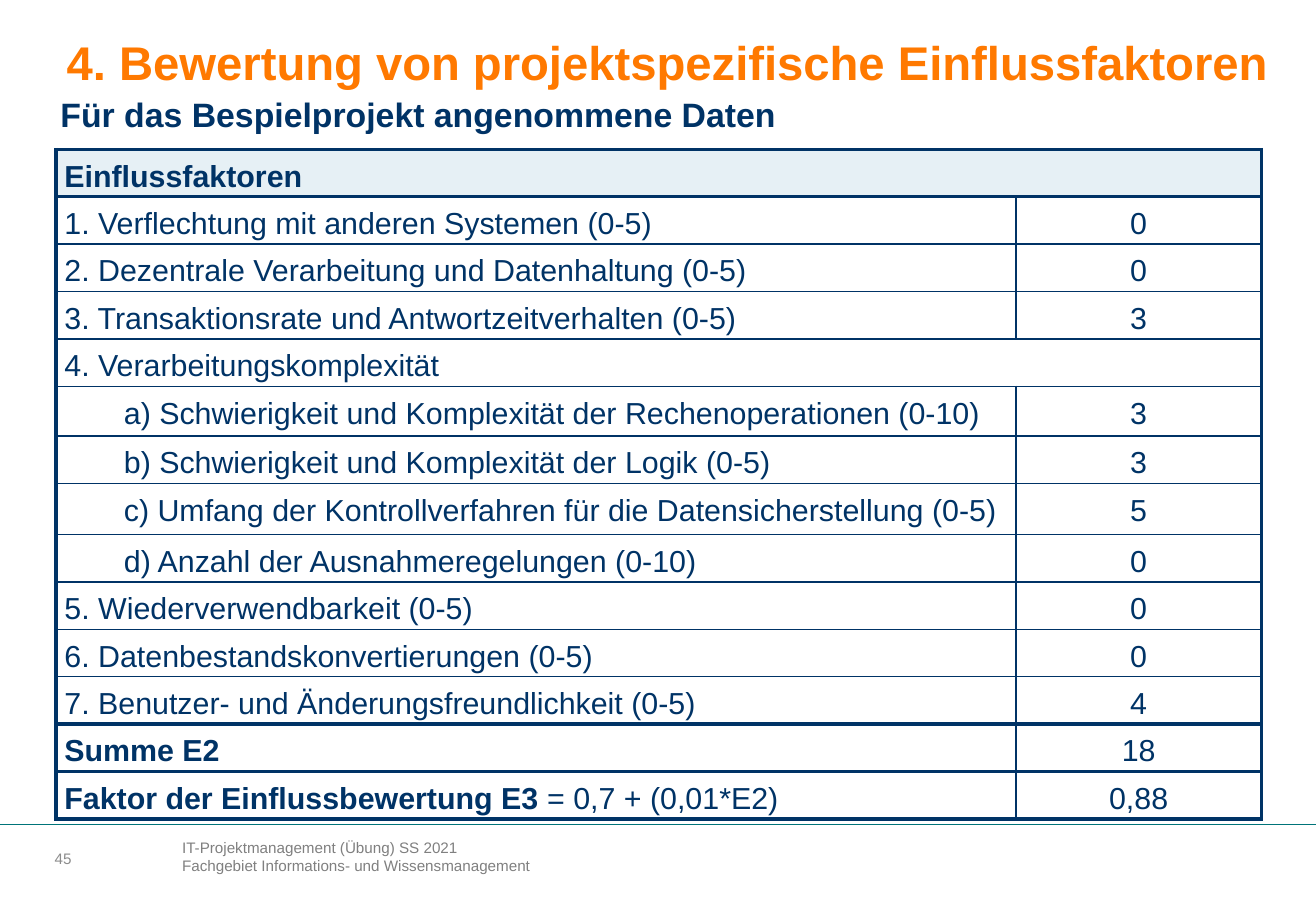
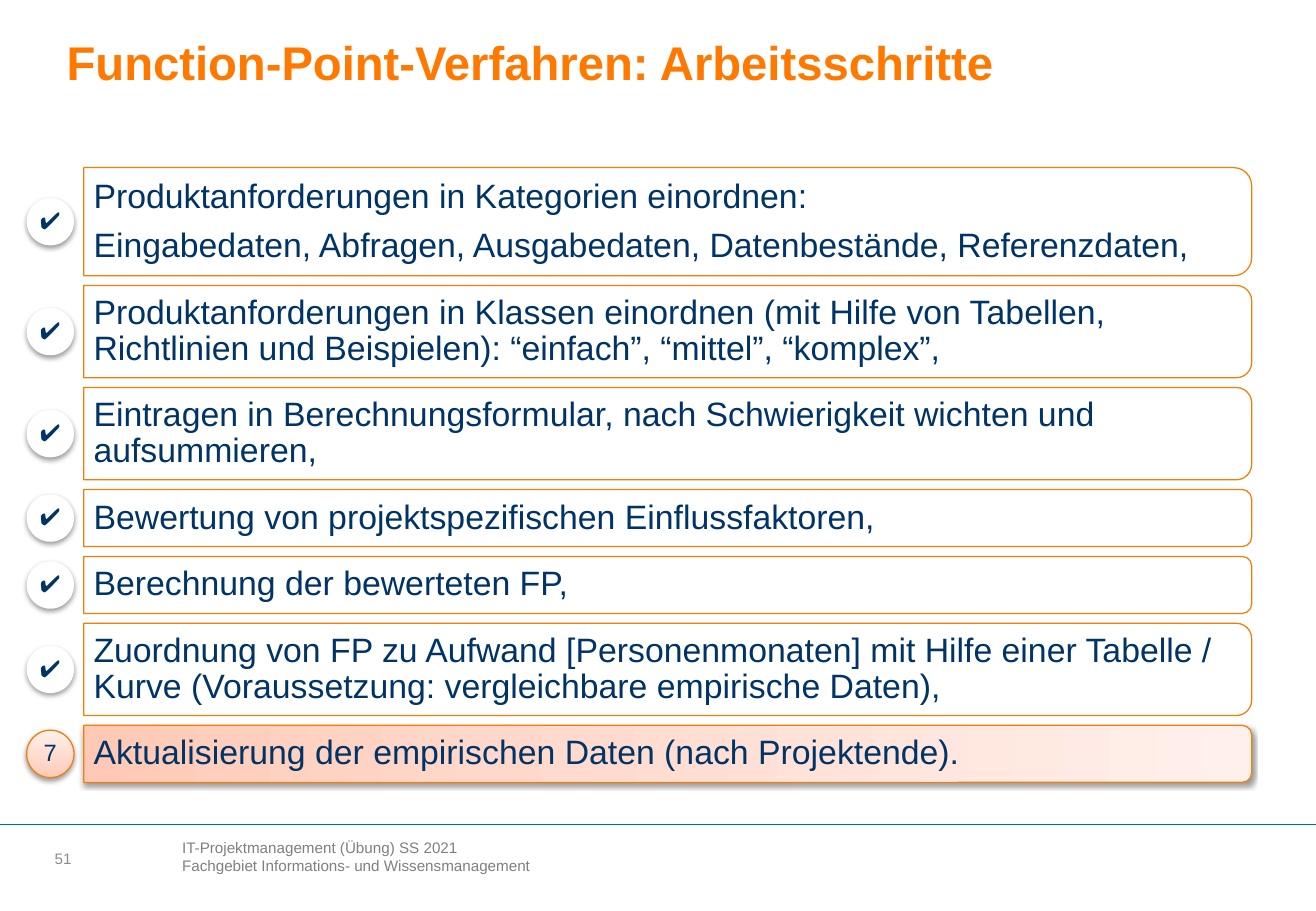
from dataclasses import dataclass
from typing import Any

from lxml import etree
from pptx import Presentation
from pptx import util as u
from pptx.dml.color import RGBColor
from pptx.enum import shapes, text
from pptx.oxml.ns import qn

COLORS = {
    "title": "FF7900", "body": "003366", "footer": "808080", "number": "8C8C8C",
    "rule": "007479", "header": "E6F0F5", "white": "FFFFFF", "outline": "F07F09",
    "shadow": "000000", "glow_dark": "FFC9B5", "glow_mid": "FFD8CB", "glow_light": "FFF0EB",
}
FONT = "Arial"
WIDTH, HEIGHT = u.Inches(10.83), u.Inches(7.5)
THICK, THIN = 2.25, 1
PLAIN_TABLE = "{2D5ABB26-0587-4C30-8999-92F81FD0307C}"
ALIGN, ANCHOR = text.PP_ALIGN, text.MSO_ANCHOR


@dataclass(frozen=True)
class Area:
    """Left, top, width and height in percent of the slide's size."""
    left: float
    top: float
    width: float
    height: float

    def emu(self) -> tuple[int, int, int, int]:
        return (across(self.left), down(self.top), across(self.width), down(self.height))


@dataclass(frozen=True)
class Style:
    size: float
    color: str
    bold: bool = False


@dataclass(frozen=True)
class Factor:
    label: str
    value: str | None = None  # None: the label spans both columns
    height: float = 5.2
    indent: float = 0
    bold: str = ""  # leading part of the label set in bold


@dataclass(frozen=True)
class Step:
    lines: tuple[str, ...]
    height: float
    mark: str = "✔"
    current: bool = False


TITLE = Style(28, "title", True)
SUBTITLE = Style(20, "body", True)
STEP = Style(20, "body")
MARK = Style(14, "body")
CELL = Style(18, "body")
CELL_BOLD = Style(18, "body", True)

FACTORS = [
    Factor("Einflussfaktoren", bold="Einflussfaktoren"),
    Factor("1. Verflechtung mit anderen Systemen (0-5)", "0"),
    Factor("2. Dezentrale Verarbeitung und Datenhaltung (0-5)", "0"),
    Factor("3. Transaktionsrate und Antwortzeitverhalten (0-5)", "3"),
    Factor("4. Verarbeitungskomplexität"),
    Factor("a) Schwierigkeit und Komplexität der Rechenoperationen (0-10)", "3", 5.47, 4.52),
    Factor("b) Schwierigkeit und Komplexität der Logik (0-5)", "3", indent=4.52),
    Factor("c) Umfang der Kontrollverfahren für die Datensicherstellung (0-5)", "5", 5.6, 4.52),
    Factor("d) Anzahl der Ausnahmeregelungen (0-10)", "0", indent=4.52),
    Factor("5. Wiederverwendbarkeit (0-5)", "0"),
    Factor("6. Datenbestandskonvertierungen (0-5)", "0"),
    Factor("7. Benutzer- und Änderungsfreundlichkeit (0-5)", "4"),
    Factor("Summe E2", "18", bold="Summe E2"),
    Factor("Faktor der Einflussbewertung E3 = 0,7 + (0,01*E2)", "0,88",
           bold="Faktor der Einflussbewertung E3 "),
]
COLUMNS = (72.95, 18.65)
THICK_EDGES = {0, 1, 12, 13, 14}  # horizontal lines counted from the table's top

ONE_LINE, TWO_LINES, TWO_PARAS = 6.27, 10.13, 11.87
STEPS = [
    Step(("Produktanforderungen in Kategorien einordnen:",
          "Eingabedaten, Abfragen, Ausgabedaten, Datenbestände, Referenzdaten,"), TWO_PARAS),
    Step(("Produktanforderungen in Klassen einordnen (mit Hilfe von Tabellen, Richtlinien "
          "und Beispielen): “einfach”, “mittel”, “komplex”,",), TWO_LINES),
    Step(("Eintragen in Berechnungsformular, nach Schwierigkeit wichten und aufsummieren,",),
         TWO_LINES),
    Step(("Bewertung von projektspezifischen Einflussfaktoren,",), ONE_LINE),
    Step(("Berechnung der bewerteten FP,",), ONE_LINE),
    Step(("Zuordnung von FP zu Aufwand [Personenmonaten] mit Hilfe einer Tabelle / Kurve "
          "(Voraussetzung: vergleichbare empirische Daten),",), TWO_LINES),
    Step(("Aktualisierung der empirischen Daten (nach Projektende).",), ONE_LINE, "7", True),
]
STEPS_TOP, STEP_GAP = 18.4, 1.07


def across(share: float) -> int:
    return round(WIDTH * share / 100)


def down(share: float) -> int:
    return round(HEIGHT * share / 100)


def rgb(name: str) -> RGBColor:
    return RGBColor.from_string(COLORS[name])


def format_font(font: Any, style: Style) -> None:
    font.name, font.size, font.bold = FONT, u.Pt(style.size), style.bold
    font.color.rgb = rgb(style.color)


def set_insets(frame: Any, horizontal: float, vertical: float) -> None:
    """Insets in inches."""
    frame.margin_left = frame.margin_right = u.Inches(horizontal)
    frame.margin_top = frame.margin_bottom = u.Inches(vertical)


def write(shape: Any, lines: tuple[str, ...], style: Style, anchor: Any = ANCHOR.MIDDLE,
          insets: tuple[float, float] = (0.1, 0.05), align: Any = ALIGN.LEFT,
          spacing: float = 1, gap: float = 0) -> None:
    frame = shape.text_frame
    frame.word_wrap, frame.vertical_anchor = True, anchor
    set_insets(frame, *insets)
    frame.text = "\n".join(lines)
    for index, para in enumerate(frame.paragraphs):
        para.alignment, para.line_spacing = align, spacing
        if index:
            para.space_before = u.Pt(gap)
        format_font(para.runs[0].font, style)


def add_text(page: Any, area: Area, lines: tuple[str, ...], style: Style, **options: Any) -> None:
    write(page.shapes.add_textbox(*area.emu()), lines, style, **options)


def add_page(deck: Any, title: str, number: int) -> Any:
    """Blank page with the shared footer and title."""
    page = deck.slides.add_slide(deck.slide_layouts[6])
    add_text(page, Area(12.93, 91.33, 55.96, 7.47),
             ("IT-Projektmanagement (Übung) SS 2021",
              "Fachgebiet Informations- und Wissensmanagement"),
             Style(9, "footer"), anchor=ANCHOR.TOP)
    add_text(page, Area(4.16, 92.53, 6.65, 3.33), (str(number),), Style(9, "number"),
             insets=(0, 0))
    rule = page.shapes.add_connector(shapes.MSO_CONNECTOR.STRAIGHT,
                                     0, down(90.53), WIDTH, down(90.53))
    rule.line.color.rgb, rule.line.width = rgb("rule"), u.Pt(0.5)
    etree.SubElement(rule._element.spPr, qn("a:effectLst"))
    add_text(page, Area(4.16, 2.53, 93.81, 8.4), (title,), TITLE)
    return page


def set_borders(cell: Any, widths: dict[str, float]) -> None:
    properties = cell._tc.get_or_add_tcPr()
    for side, width in widths.items():
        line = etree.SubElement(properties, qn(f"a:ln{side}"), w=str(u.Pt(width)))
        fill = etree.SubElement(line, qn("a:solidFill"))
        etree.SubElement(fill, qn("a:srgbClr"), val=COLORS["body"])


def fill_cell(cell: Any, parts: list[tuple[str, Style]], align: Any, indent: float = 0) -> None:
    set_insets(cell, 0.07, 0)
    para = cell.text_frame.paragraphs[0]
    para.alignment, para.line_spacing, para.space_after = align, 1.3, u.Pt(4)
    if indent:
        para._p.get_or_add_pPr().set("marL", str(across(indent)))
    for words, style in parts:
        if words:
            span = para.add_run()
            span.text = words
            format_font(span.font, style)


def add_factor_table(page: Any) -> None:
    area = Area(4.25, 16.4, sum(COLUMNS), sum(factor.height for factor in FACTORS))
    table = page.shapes.add_table(len(FACTORS), len(COLUMNS), *area.emu()).table
    table.first_row = table.horz_banding = False
    table._tbl.tblPr.find(qn("a:tableStyleId")).text = PLAIN_TABLE
    for column, width in zip(table.columns, COLUMNS):
        column.width = across(width)

    for row, factor in enumerate(FACTORS):
        table.rows[row].height = down(factor.height)
        label, value = table.cell(row, 0), table.cell(row, 1)
        spanned = factor.value is None
        top, bottom = (THICK if edge in THICK_EDGES else THIN for edge in (row, row + 1))
        set_borders(label, {"L": THICK, "R": THICK if spanned else THIN, "T": top, "B": bottom})
        right = {"R": THICK, "T": top, "B": bottom}
        set_borders(value, right if spanned else {"L": THIN, **right})
        label.fill.background()
        value.fill.background()

        rest = factor.label.removeprefix(factor.bold)
        fill_cell(label, [(factor.bold, CELL_BOLD), (rest, CELL)], ALIGN.JUSTIFY, factor.indent)
        if spanned:
            label.merge(value)
        else:
            fill_cell(value, [(factor.value, CELL)], ALIGN.CENTER)

    header = table.cell(0, 0)
    header.fill.solid()
    header.fill.fore_color.rgb = rgb("header")


def add_shadow(shape: Any) -> None:
    effects = shape._element.spPr.find(qn("a:effectLst"))
    shadow = etree.SubElement(effects, qn("a:outerShdw"), blurRad=str(u.Pt(3.1)),
                              dist=str(u.Pt(1.6)), dir="5400000", rotWithShape="0")
    color = etree.SubElement(shadow, qn("a:srgbClr"), val=COLORS["shadow"])
    etree.SubElement(color, qn("a:alpha"), val="38000")


def fill_glow(shape: Any) -> None:
    """Three-stop gradient that runs upwards in the unrotated shape."""
    shape.fill.gradient()
    shape.fill.gradient_angle = 90
    stops = shape._element.spPr.find(qn("a:gradFill")).find(qn("a:gsLst"))
    for stop in list(stops):
        stops.remove(stop)
    for share, name in ((0, "glow_dark"), (35, "glow_mid"), (100, "glow_light")):
        stop = etree.SubElement(stops, qn("a:gs"), pos=str(share * 1000))
        etree.SubElement(stop, qn("a:srgbClr"), val=COLORS[name])


def add_step_shape(page: Any, kind: Any, box: tuple[int, int, int, int], glow: bool,
                   outlined: bool, shadowed: bool) -> Any:
    shape = page.shapes.add_shape(kind, *box)
    shape.shadow.inherit = False
    if glow:
        fill_glow(shape)
    else:
        shape.fill.solid()
        shape.fill.fore_color.rgb = rgb("white")
    if outlined:
        shape.line.color.rgb, shape.line.width = rgb("outline"), u.Pt(0.75)
    else:
        shape.line.fill.background()
    if shadowed:
        add_shadow(shape)
    return shape


def add_step(page: Any, step: Step, top: float) -> None:
    # Bar: upright shape turned by 90 degrees, so its rounded end points right
    left, upper, width, height = Area(6.37, top, 88.74, step.height).emu()
    turned = (left + (width - height) // 2, upper + (height - width) // 2, height, width)
    bar = add_step_shape(page, shapes.MSO_SHAPE.ROUND_2_SAME_RECTANGLE, turned,
                         step.current, True, step.current)
    bar.rotation = 90
    add_text(page, Area(6.37, top + 0.47, 88.37, step.height - 0.94), step.lines, STEP,
             insets=(0.08, 0.06), spacing=0.9, gap=7.5)

    # Marker: circle centred on the bar's height
    circle = Area(2.03, top + (step.height - 5.2) / 2, 3.6, 5.2)
    marker = add_step_shape(page, shapes.MSO_SHAPE.OVAL, circle.emu(),
                            step.current, step.current, True)
    write(marker, (step.mark,), MARK, insets=(0, 0), align=ALIGN.CENTER, spacing=0.9)


def main() -> None:
    deck = Presentation()
    deck.slide_width, deck.slide_height = WIDTH, HEIGHT

    # Rated factors
    page = add_page(deck, "4. Bewertung von projektspezifische Einflussfaktoren", 45)
    add_factor_table(page)
    add_text(page, Area(3.69, 10.13, 92.89, 5.2), ("Für das Bespielprojekt angenommene Daten",),
             SUBTITLE, anchor=ANCHOR.TOP, spacing=0.9)

    # Work steps
    page = add_page(deck, "Function-Point-Verfahren: Arbeitsschritte", 51)
    top = STEPS_TOP
    for step in STEPS:
        add_step(page, step, top)
        top += step.height + STEP_GAP

    deck.save("out.pptx")


if __name__ == "__main__":
    main()
